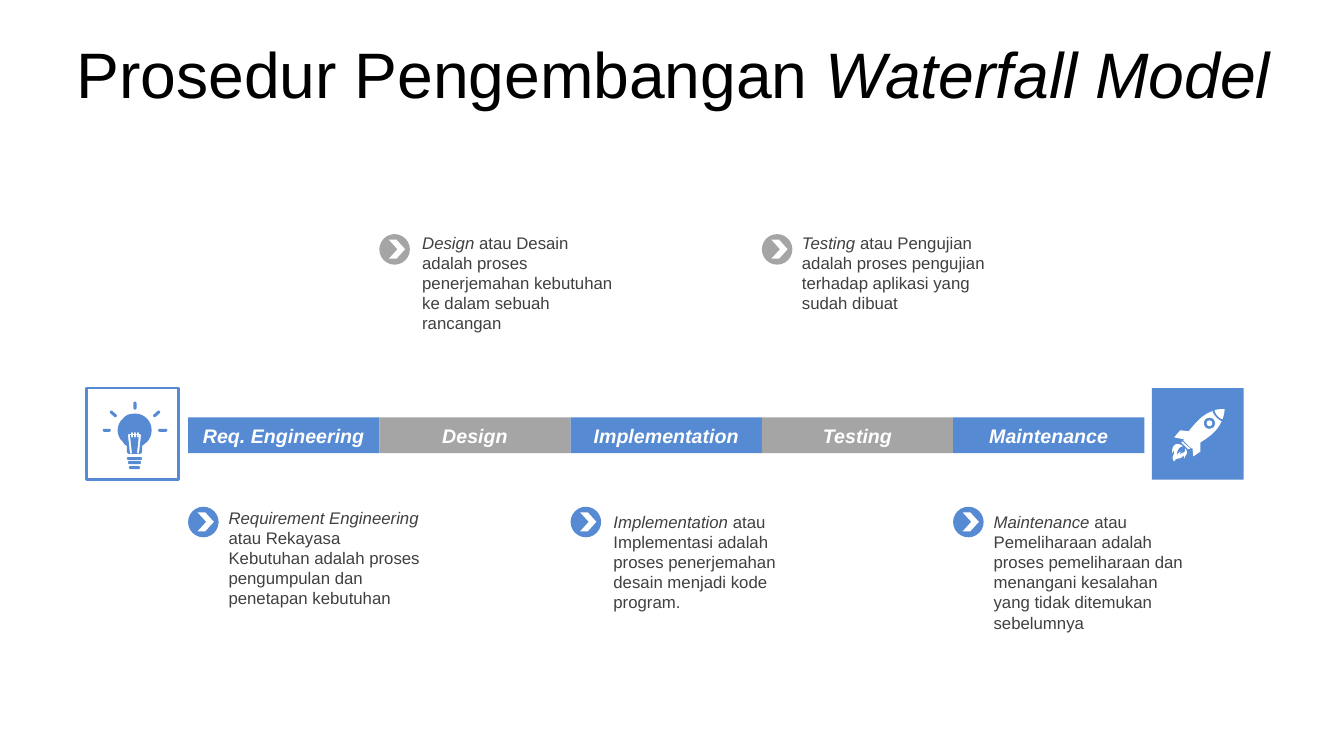
import math

from pptx import Presentation
from pptx.dml.color import RGBColor
from pptx.enum.shapes import MSO_SHAPE
from pptx.enum.text import MSO_ANCHOR, MSO_AUTO_SIZE, PP_ALIGN
from pptx.util import Cm, Pt

RECT, OVAL, CHEVRON = MSO_SHAPE.RECTANGLE, MSO_SHAPE.OVAL, MSO_SHAPE.CHEVRON
MIDDLE = MSO_ANCHOR.MIDDLE
LEFT, CENTER = PP_ALIGN.LEFT, PP_ALIGN.CENTER
FIT_SHAPE, NO_FIT = MSO_AUTO_SIZE.SHAPE_TO_FIT_TEXT, MSO_AUTO_SIZE.NONE

BLUE, GREY, WHITE, BLACK, DARK = "568AD3", "A5A5A5", "FFFFFF", "000000", "404040"

BAR_LEFT, BAR_TOP, STAGE_WIDTH, BAR_HEIGHT = 4.74, 10.52, 4.82, 0.9
BADGE_TOPS = {BLUE: 12.77, GREY: 5.9}
ICON_UNIT = 0.0254

# stage label, italic term, description, note left, top and height in cm
STAGES = [
    ("Req. Engineering", "Requirement Engineering",
     " atau Rekayasa Kebutuhan adalah proses pengumpulan dan penetapan kebutuhan",
     5.51, 12.65, 2.82),
    ("Design", "Design",
     " atau Desain adalah proses penerjemahan kebutuhan ke dalam sebuah rancangan",
     10.39, 5.72, 2.82),
    ("Implementation", "Implementation",
     " atau Implementasi adalah proses penerjemahan desain menjadi kode program.",
     15.21, 12.75, 2.82),
    ("Testing", "Testing",
     " atau Pengujian adalah proses pengujian terhadap aplikasi yang sudah dibuat",
     19.96, 5.72, 2.31),
    ("Maintenance", "Maintenance",
     " atau Pemeliharaan adalah proses pemeliharaan dan menangani kesalahan"
     " yang tidak ditemukan sebelumnya",
     24.79, 12.75, 3.33),
]

ROCKET = """
M 11 37 C 9 36 4 40 5 46 C 6 43 8 42 10 42 C 9 42 7 43 8 45 C 10 42 13 45 13 39
C 17 44 13 45 12 49 C 11 48 12 45 11 46 C 8 51 4 47 2 52 C -2 47 3 45 2 42
C 2 41 1 41 0 44 C -1 33 7 33 11 37
M 10 32 L 18 39 L 16 40 L 9 33
M 39 12 C 40 13 40 15 39 16 C 38 17 36 17 35 16 C 34 15 34 13 35 12 C 36 11 38 11 39 12
M 41 10 C 39 8 35 8 33 10 C 31 12 31 16 33 18 C 35 20 38 20 41 18 C 43 16 43 12 41 10
M 40 2 C 41 6 45 10 49 12 C 45 22 36 28 28 33 L 28 42 L 21 47 L 20 38 L 19 39
L 11 31 L 12 30 L 2 28 L 8 21 L 17 22 L 17 21 C 23 14 30 5 40 2
M 52 0 C 52 3 51 7 50 10 C 46 9 43 5 42 1 C 45 0 48 0 52 0
"""
BULB = """
M 32 12 C 36 12 40 13 44 17 C 50 23 50 34 44 40 L 39 44 L 39 49 C 39 51 38 52 36 52
L 27 52 C 25 52 24 51 24 49 L 24 44 C 22 43 21 42 20 40 C 13 34 13 23 20 17
C 23 13 27 12 32 12
M 29 30 L 28 31 L 28 32 L 26 32 L 25 33 L 27 51 L 28 52 L 29 51 L 27 33 L 28 33
L 28 35 L 29 36 L 30 35 L 30 33 L 31 33 L 31 35 L 32 36 L 33 35 L 33 33 L 34 33
L 34 35 L 35 36 L 36 35 L 36 33 L 34 51 L 35 52 L 36 51 L 38 33 L 37 32 L 36 32
L 36 31 L 35 30 L 34 31 L 34 32 L 33 32 L 33 31 L 32 30 L 31 31 L 31 32 L 30 32 L 30 31
"""
BULB_BARS = [(27.5, 65.5, 35.5, 65.5), (26.5, 60.5, 36.5, 60.5), (25.5, 56.5, 37.5, 56.5)]
BULB_RAYS = [(1.5, 28.5, 6.5, 28.5), (8.5, 10.5, 12.5, 14), (32, 1.5, 32, 6.5),
             (55.5, 10.5, 51.5, 14), (56.5, 28.5, 62.5, 28.5)]


def rgb(value):
    return RGBColor.from_string(value)


def contours(outline, steps=8):
    """Turn M, L and C commands into lists of points, with curves sampled."""
    result = []
    for contour in outline.split("M")[1:]:
        points = []
        for command in contour.replace("C", "|").replace("L", "|").split("|"):
            numbers = [float(n) for n in command.split()]
            pairs = list(zip(numbers[::2], numbers[1::2]))
            if len(pairs) == 1:
                points += pairs
                continue
            curve = [points[-1]] + pairs
            for step in range(1, steps + 1):
                t = step / steps
                weights = [math.comb(3, k) * t**k * (1 - t)**(3 - k) for k in range(4)]
                points.append(tuple(sum(w * p[axis] for w, p in zip(weights, curve))
                                    for axis in (0, 1)))
        result.append(points)
    return result


def capsule(x1, y1, x2, y2, radius=1.5):
    """Outline of a thick line with round ends."""
    heading = math.degrees(math.atan2(y2 - y1, x2 - x1))
    points = []
    for x, y, start in ((x2, y2, heading - 90), (x1, y1, heading + 90)):
        for turn in range(0, 181, 30):
            angle = math.radians(start + turn)
            points.append((x + radius * math.cos(angle), y + radius * math.sin(angle)))
    return points


def write(frame, *parts, size, color, align=LEFT, bold=False, spacing=None,
          fit=NO_FIT, insets=(0.25, 0.13, 0.25, 0.13)):
    """Fill a text frame with one paragraph of (text, italic) parts."""
    frame.word_wrap = True
    frame.auto_size = fit
    frame.vertical_anchor = MIDDLE
    (frame.margin_left, frame.margin_top,
     frame.margin_right, frame.margin_bottom) = map(Cm, insets)
    paragraph = frame.paragraphs[0]
    paragraph.alignment = align
    paragraph.space_before = Pt(0)
    if spacing:
        paragraph.line_spacing = spacing
    for text, italic in parts:
        run = paragraph.add_run()
        run.text = text
        run.font.name = "Arial"
        run.font.size = Pt(size)
        run.font.bold = bold
        run.font.italic = italic
        run.font.color.rgb = rgb(color)


class Deck:
    """Holds the presentation, its current slide and the shared style."""

    def __init__(self):
        self.presentation = Presentation()
        self.presentation.slide_width = Cm(33.87)
        self.presentation.slide_height = Cm(19.05)
        self.slide = self.presentation.slides.add_slide(self.presentation.slide_layouts[5])
        self.shapes = self.slide.shapes

    def title(self, *parts):
        heading = self.shapes.title
        heading.left, heading.top, heading.width, heading.height = map(
            Cm, (0.89, 0.94, 32.16, 2.01))
        write(heading.text_frame, *parts, size=45.9, color=BLACK, align=CENTER,
              spacing=0.8, insets=(0.25, 0.25, 0.25, 0.13))

    def paint(self, shape, fill=None, line=None):
        shape.shadow.inherit = False
        if fill:
            shape.fill.solid()
            shape.fill.fore_color.rgb = rgb(fill)
        else:
            shape.fill.background()
        if line:
            shape.line.color.rgb = rgb(line)
            shape.line.width = Pt(2)
        else:
            shape.line.fill.background()
        return shape

    def shape(self, kind, left, top, width, height, fill=None, line=None):
        added = self.shapes.add_shape(kind, *map(Cm, (left, top, width, height)))
        return self.paint(added, fill, line)

    def icon(self, outlines, left, top, fill):
        """Draw closed outlines, given in icon units, as one freeform."""
        placed = [[(Cm(left + x * ICON_UNIT), Cm(top + y * ICON_UNIT)) for x, y in outline]
                  for outline in outlines]
        builder = self.shapes.build_freeform(*placed[0][0])
        for number, points in enumerate(placed):
            if number:
                builder.move_to(*points[0])
            builder.add_line_segments(points[1:], close=True)
        self.paint(builder.convert_to_shape(), fill)

    def stage(self, label, left, color):
        bar = self.shape(RECT, left, BAR_TOP, STAGE_WIDTH, BAR_HEIGHT, color)
        write(bar.text_frame, (label, True), size=14, color=WHITE, align=CENTER, bold=True)

    def badge(self, left, top, color):
        self.shape(OVAL, left, top, 0.77, 0.77, color)
        arrow = self.shape(CHEVRON, left + 0.24, top + 0.14, 0.41, 0.48, WHITE)
        arrow.adjustments[0] = 0.53

    def note(self, term, description, left, top, height):
        box = self.shapes.add_textbox(*map(Cm, (left, top, 5.36, height)))
        write(box.text_frame, (term, True), (description, False),
              size=12, color=DARK, fit=FIT_SHAPE)


def main():
    deck = Deck()
    deck.title(("Prosedur Pengembangan ", False), ("Waterfall Model", True))

    deck.shape(RECT, 29.03, 9.78, 2.31, 2.31, fill=BLUE)
    deck.icon(contours(ROCKET), 29.54, 10.31, WHITE)
    deck.shape(RECT, 2.19, 9.78, 2.31, 2.31, line=BLUE)
    bulb_strokes = [capsule(*ends) for ends in BULB_BARS + BULB_RAYS]
    deck.icon(contours(BULB) + bulb_strokes, 2.59, 10.12, BLUE)

    for index, (label, term, description, *place) in enumerate(STAGES):
        left = BAR_LEFT + index * STAGE_WIDTH
        color = (BLUE, GREY)[index % 2]
        deck.stage(label, left, color)
        deck.badge(left, BADGE_TOPS[color], color)
        deck.note(term, description, *place)

    deck.presentation.save("out.pptx")


if __name__ == "__main__":
    main()
